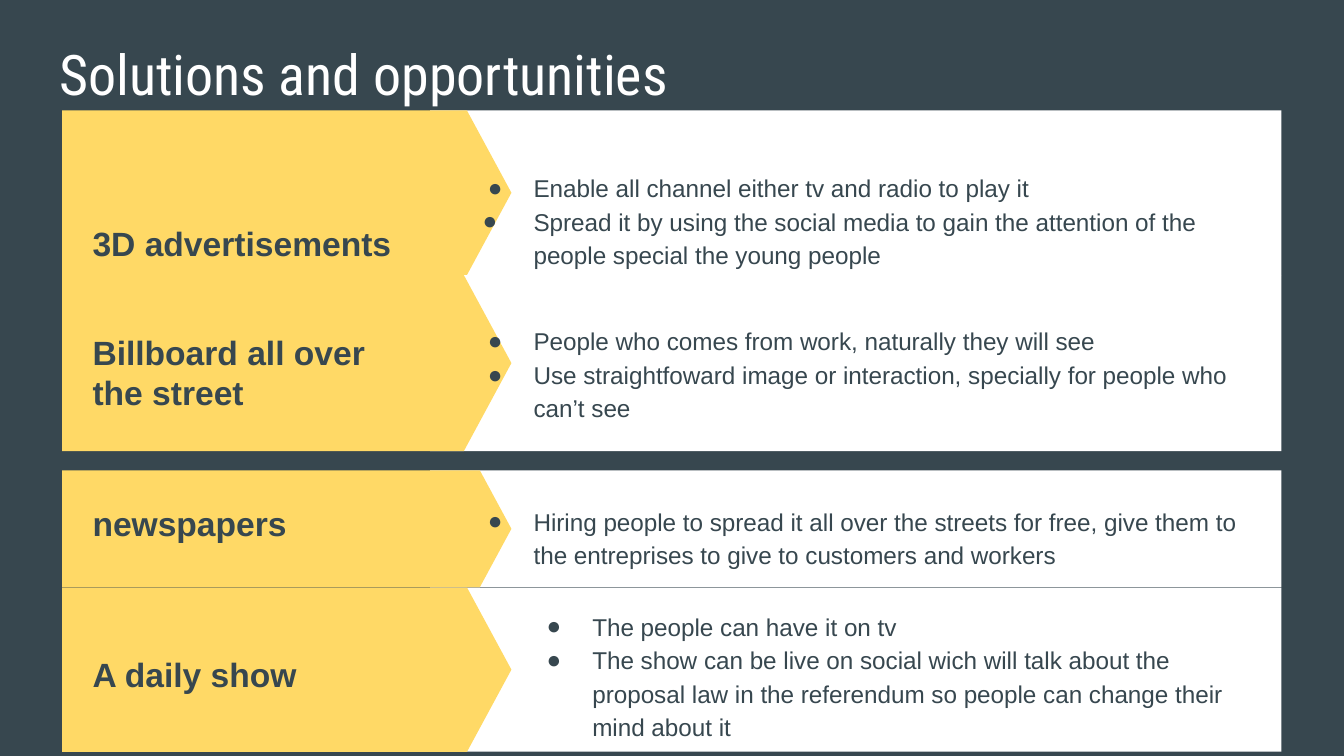
from dataclasses import dataclass

from lxml.etree import SubElement
from pptx import Presentation
from pptx.dml.color import RGBColor
from pptx.enum.shapes import MSO_SHAPE
from pptx.enum.text import MSO_ANCHOR, MSO_AUTO_SIZE, PP_ALIGN
from pptx.oxml.ns import qn
from pptx.util import Inches, Pt


@dataclass(frozen=True)
class Theme:
    slate: str = "37474F"
    yellow: str = "FFD966"
    white: str = "FFFFFF"
    title_font: str = "Roboto Condensed"
    body_font: str = "Arial"
    title_size: int = 30
    heading_size: int = 18
    list_size: int = 13
    list_spacing: float = 1.15
    bullet: str = "●"
    hanging: float = 3.4


@dataclass(frozen=True)
class Solution:
    heading: str
    bullets: tuple
    band: tuple
    heading_top: float
    list_box: tuple
    hangings: tuple = ()


class SlideBuilder:
    cell = Inches(0.1)
    panel_columns = (32, 63.35)
    arrow_columns = (4.63, 33.42)
    heading_columns = (5.9, 26.5)
    heading_rows = 8.7

    def __init__(self, presentation, theme):
        self.theme = theme
        self.slide = presentation.slides.add_slide(presentation.slide_layouts[4])
        fill = self.slide.background.fill
        fill.solid()
        fill.fore_color.rgb = RGBColor.from_string(theme.slate)

    def cells(self, *counts):
        return [round(count * self.cell) for count in counts]

    def place(self, shape, box):
        shape.left, shape.top, shape.width, shape.height = self.cells(*box)

    def format_text(self, shape, anchor, font, size, color, bold=False):
        frame = shape.text_frame
        frame.word_wrap = True
        frame.auto_size = MSO_AUTO_SIZE.NONE
        frame.vertical_anchor = anchor
        frame.margin_left = frame.margin_right = self.cell
        frame.margin_top = frame.margin_bottom = self.cell
        for paragraph in frame.paragraphs:
            paragraph.alignment = PP_ALIGN.LEFT
            paragraph.space_before = Pt(0)
            for run in paragraph.runs:
                run.font.name = font
                run.font.size = Pt(size)
                run.font.bold = bold
                run.font.color.rgb = RGBColor.from_string(color)

    def title(self, text, box):
        shape = self.slide.shapes.title
        self.place(shape, box)
        shape.text_frame.text = text
        theme = self.theme
        self.format_text(shape, MSO_ANCHOR.TOP, theme.title_font, theme.title_size, theme.white)

    def band(self, top, height):
        group = self.slide.shapes.add_group_shape()
        parts = (
            (MSO_SHAPE.RECTANGLE, self.panel_columns, self.theme.white),
            (MSO_SHAPE.PENTAGON, self.arrow_columns, self.theme.yellow),
        )
        for kind, (left, width), color in parts:
            shape = group.shapes.add_shape(kind, *self.cells(left, top, width, height))
            shape.shadow.inherit = False
            shape.fill.solid()
            shape.fill.fore_color.rgb = RGBColor.from_string(color)
            shape.line.fill.background()
            if kind == MSO_SHAPE.PENTAGON:
                shape.adjustments[0] = 0.27

    def heading(self, text, top):
        left, width = self.heading_columns
        box = self.cells(left, top, width, self.heading_rows)
        shape = self.slide.shapes.add_textbox(*box)
        shape.text_frame.text = text
        theme = self.theme
        self.format_text(
            shape, MSO_ANCHOR.MIDDLE, theme.body_font, theme.heading_size, theme.slate, True
        )

    def bullet(self, paragraph, hanging):
        paragraph.line_spacing = self.theme.list_spacing
        properties = paragraph._p.get_or_add_pPr()
        margin, indent = self.cells(5, -hanging)
        properties.set("marL", str(margin))
        properties.set("indent", str(indent))
        color = SubElement(properties, qn("a:buClr"))
        SubElement(color, qn("a:srgbClr"), val=self.theme.slate)
        SubElement(properties, qn("a:buFont"), typeface=self.theme.body_font)
        SubElement(properties, qn("a:buChar"), char=self.theme.bullet)

    def bullet_list(self, index, bullets, box, hangings):
        shape = self.slide.placeholders[index]
        self.slide.shapes._spTree.append(shape._element)
        self.place(shape, box)
        shape.text_frame.text = "\n".join(bullets)
        theme = self.theme
        self.format_text(
            shape, MSO_ANCHOR.MIDDLE, theme.body_font, theme.list_size, theme.slate
        )
        hangings = hangings or (theme.hanging,) * len(bullets)
        for paragraph, hanging in zip(shape.text_frame.paragraphs, hangings):
            self.bullet(paragraph, hanging)

    def solution(self, index, solution):
        self.band(*solution.band)
        self.heading(solution.heading, solution.heading_top)
        self.bullet_list(index, solution.bullets, solution.list_box, solution.hangings)


SOLUTIONS = (
    Solution(
        "3D advertisements",
        (
            "Enable all channel either tv and radio to play it",
            "Spread it by using the social media to gain the attention of the "
            "people special the young people",
        ),
        (8.22, 12.25), 13.75, (33.7, 10.23, 60.3, 12.2), (3.4, 3.8),
    ),
    Solution(
        "Billboard all over the street",
        (
            "People who comes from work, naturally they will see",
            "Use straightfoward image or interaction, specially for people who can’t see",
        ),
        (20.47, 13.1), 23.33, (33.7, 21.87, 60.3, 11.7),
    ),
    Solution(
        "newspapers",
        (
            "Hiring people to spread it all over the streets for free, give them to "
            "the entreprises to give to customers and workers",
        ),
        (35, 8.7), 34.54, (33.7, 35.33, 59.6, 9.1),
    ),
    Solution(
        "A daily show",
        (
            "The people can have it on tv",
            "The show can be live on social wich will talk about the proposal law "
            "in the referendum so people can change their mind about it",
        ),
        (43.72, 12.22), 45.8, (38.07, 45.83, 55.9, 8.7),
    ),
)


def main():
    presentation = Presentation()
    presentation.slide_width = Inches(10)
    presentation.slide_height = presentation.slide_width * 9 // 16
    builder = SlideBuilder(presentation, Theme())
    builder.title("Solutions and opportunities", (3.4, 1.94, 93.2, 6.3))
    for index, solution in enumerate(SOLUTIONS, start=1):
        builder.solution(index, solution)
    presentation.save("out.pptx")


if __name__ == "__main__":
    main()
